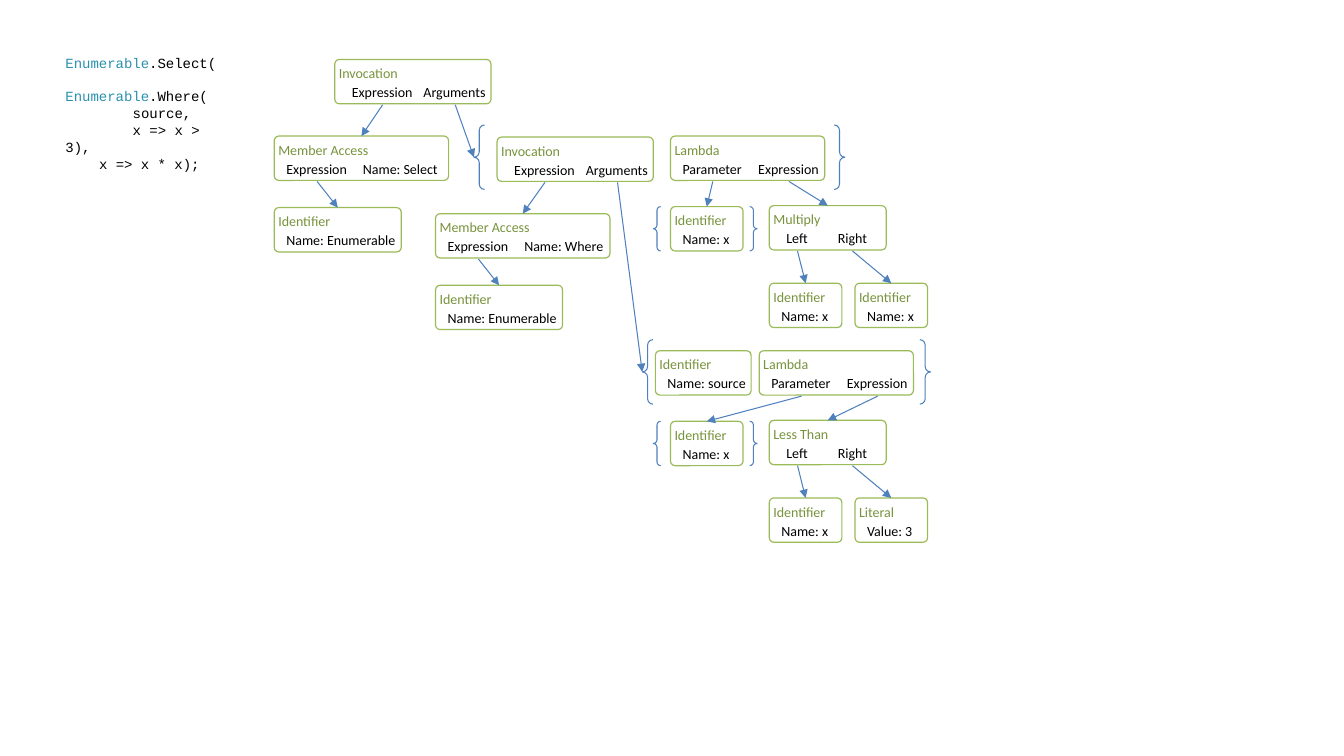
from lxml.etree import SubElement
from pptx import Presentation
from pptx.dml.color import RGBColor
from pptx.enum.shapes import MSO_CONNECTOR as Connector, MSO_SHAPE as Preset
from pptx.oxml.ns import qn
from pptx.util import Inches, Pt

COLORS = {"paper": "FFFFFF", "border": "9BBB59", "title": "77933C",
          "label": "000000", "arrow": "4F81BD", "type": "2B91AF"}

# Code: (first-line indent in characters, space before in points, coloured runs)
CODE = [
    (0, 0, [("Enumerable", "type"), (".Select(", "label")]),
    (0, 12, [("Enumerable", "type"), (".Where(", "label")]),
    (8, 0, [("source,", "label")]),
    (8, 0, [("x => x > 3),", "label")]),
    (4, 0, [("x => x * x);", "label")]),
]
CHARACTER = 1 / 12

# Node kinds: title, box width, labels with their offset from the box's left edge
KINDS = {
    "invocation": ("Invocation", 1.55, [(0.13, "Expression"), (0.84, "Arguments")]),
    "select": ("Member Access", 1.73, [(0.08, "Expression"), (0.84, "Name: Select")]),
    "where": ("Member Access", 1.73, [(0.08, "Expression"), (0.84, "Name: Where")]),
    "enumerable": ("Identifier", 1.26, [(0.08, "Name: Enumerable")]),
    "source": ("Identifier", 0.95, [(0.08, "Name: source")]),
    "lambda": ("Lambda", 1.53, [(0.08, "Parameter"), (0.83, "Expression")]),
    "multiply": ("Multiply", 1.16, [(0.13, "Left"), (0.64, "Right")]),
    "less": ("Less Than", 1.16, [(0.13, "Left"), (0.64, "Right")]),
    "x": ("Identifier", 0.72, [(0.08, "Name: x")]),
    "three": ("Literal", 0.72, [(0.08, "Value: 3")]),
}
TEXT_WIDTHS = {
    "Invocation": 0.68, "Member Access": 0.98, "Identifier": 0.6, "Lambda": 0.53,
    "Multiply": 0.55, "Less Than": 0.63, "Literal": 0.44, "Expression": 0.69,
    "Arguments": 0.71, "Parameter": 0.68, "Left": 0.3, "Right": 0.37,
    "Name: Select": 0.83, "Name: Where": 0.88, "Name: Enumerable": 1.18,
    "Name: source": 0.87, "Name: x": 0.55, "Value: 3": 0.54,
}

# Method calls: member kind, call left, member left, call top, argument brace
CALLS = [("select", 3.32, 2.72, 0.59, (4.7, 1.24, 3.68)),
         ("where", 4.93, 4.32, 1.36, (6.37, 3.37, 2.86))]
# Lambdas: left, top, operator kind, right operand kind
LAMBDAS = [(6.65, 1.35, "multiply", "x"), (7.53, 3.48, "less", "three")]
PARAMETER_LEFT, OPERATOR_LEFT, RIGHT_LEFT = 6.65, 7.63, 8.48
BOX_HEIGHT, TEXT_HEIGHT, ROW_STEP = 0.44, 0.25, 0.76

presentation = Presentation()
presentation.slide_width, presentation.slide_height = Inches(13.33), Inches(7.5)
slide = presentation.slides.add_slide(presentation.slide_layouts[6])
shapes = slide.shapes


def rgb(name):
    return RGBColor.from_string(COLORS[name])


def add_text(paragraphs, left, top, width, height, font="Calibri", wrap=False,
             line_spacing=None):
    box = shapes.add_textbox(*map(Inches, (left, top, width, height)))
    frame = box.text_frame
    frame.word_wrap = wrap
    frame.margin_left = frame.margin_right = Inches(0.04)
    frame.margin_top = frame.margin_bottom = Inches(0.04)
    for index, (indent, before, runs) in enumerate(paragraphs):
        paragraph = frame.add_paragraph() if index else frame.paragraphs[0]
        paragraph.space_before = Pt(before)
        paragraph.line_spacing = line_spacing
        if indent:
            properties = paragraph._p.get_or_add_pPr()
            properties.set("marL", "0")
            properties.set("indent", str(Inches(indent * CHARACTER)))
        for text, color in runs:
            run = paragraph.add_run()
            run.text = text
            run.font.name, run.font.size = font, Pt(10)
            run.font.color.rgb = rgb(color)
    return box


def add_label(text, left, top, color):
    return add_text([(0, 0, [(text, color)])], left, top,
                    TEXT_WIDTHS[text], TEXT_HEIGHT)


def add_node(kind, left, top):
    """Draw a node; return its box and its labels by text."""
    title, width, labels = KINDS[kind]
    box = shapes.add_shape(Preset.ROUNDED_RECTANGLE,
                           *map(Inches, (left, top, width, BOX_HEIGHT)))
    box.shadow.inherit = False
    box.adjustments[0] = 0.104
    box.fill.solid()
    box.fill.fore_color.rgb = rgb("paper")
    box.line.color.rgb, box.line.width = rgb("border"), Pt(0.85)
    add_label(title, left, top + 0.01, "title")
    return box, {text: add_label(text, left + offset, top + 0.2, "label")
                 for offset, text in labels}


def add_braces(left, top, width, height):
    braces = shapes.add_shape(Preset.DOUBLE_BRACE,
                              *map(Inches, (left, top, width, height)))
    braces.shadow.inherit = False
    braces.fill.background()
    braces.line.color.rgb, braces.line.width = rgb("arrow"), Pt(0.75)
    return braces


def add_arrow(label, target, site=0):
    """Join the bottom of a label to a target's top (0) or left (1)."""
    arrow = shapes.add_connector(Connector.STRAIGHT, 0, 0, 0, 0)
    arrow.begin_connect(label, 2)
    arrow.end_connect(target, site)
    arrow.line.color.rgb, arrow.line.width = rgb("arrow"), Pt(0.75)
    SubElement(arrow.line._get_or_add_ln(), qn("a:tailEnd"), type="triangle")
    SubElement(arrow._element.spPr, qn("a:effectLst"))


# Code listing
add_text(CODE, 0.61, 0.5, 1.7, 0.92, font="Courier New", wrap=True,
         line_spacing=Pt(12))

# Method calls with their member access and argument list
for member_kind, call_left, member_left, top, brace in CALLS:
    arguments = add_braces(*brace, 0.64)
    _, call = add_node("invocation", call_left, top)
    member_box, member = add_node(member_kind, member_left, top + ROW_STEP)
    identifier_box, _ = add_node("enumerable", member_left, top + ROW_STEP + 0.71)
    add_arrow(call["Expression"], member_box)
    add_arrow(call["Arguments"], arguments, site=1)
    add_arrow(member["Expression"], identifier_box)

# Lambdas with their parameter list and operator
for left, top, operator_kind, right_kind in LAMBDAS:
    _, function = add_node("lambda", left, top)
    parameter_top, operand_top = top + 0.7, top + 1.46
    add_braces(PARAMETER_LEFT - 0.17, parameter_top, 1.03, BOX_HEIGHT)
    parameter_box, _ = add_node("x", PARAMETER_LEFT, parameter_top)
    operator_box, operator = add_node(operator_kind, OPERATOR_LEFT, top + 0.69)
    left_box, _ = add_node("x", OPERATOR_LEFT, operand_top)
    right_box, _ = add_node(right_kind, RIGHT_LEFT, operand_top)
    add_arrow(function["Parameter"], parameter_box)
    add_arrow(function["Expression"], operator_box)
    add_arrow(operator["Left"], left_box)
    add_arrow(operator["Right"], right_box)

# Source argument of the inner call
add_node("source", 6.5, 3.48)

presentation.save("out.pptx")
